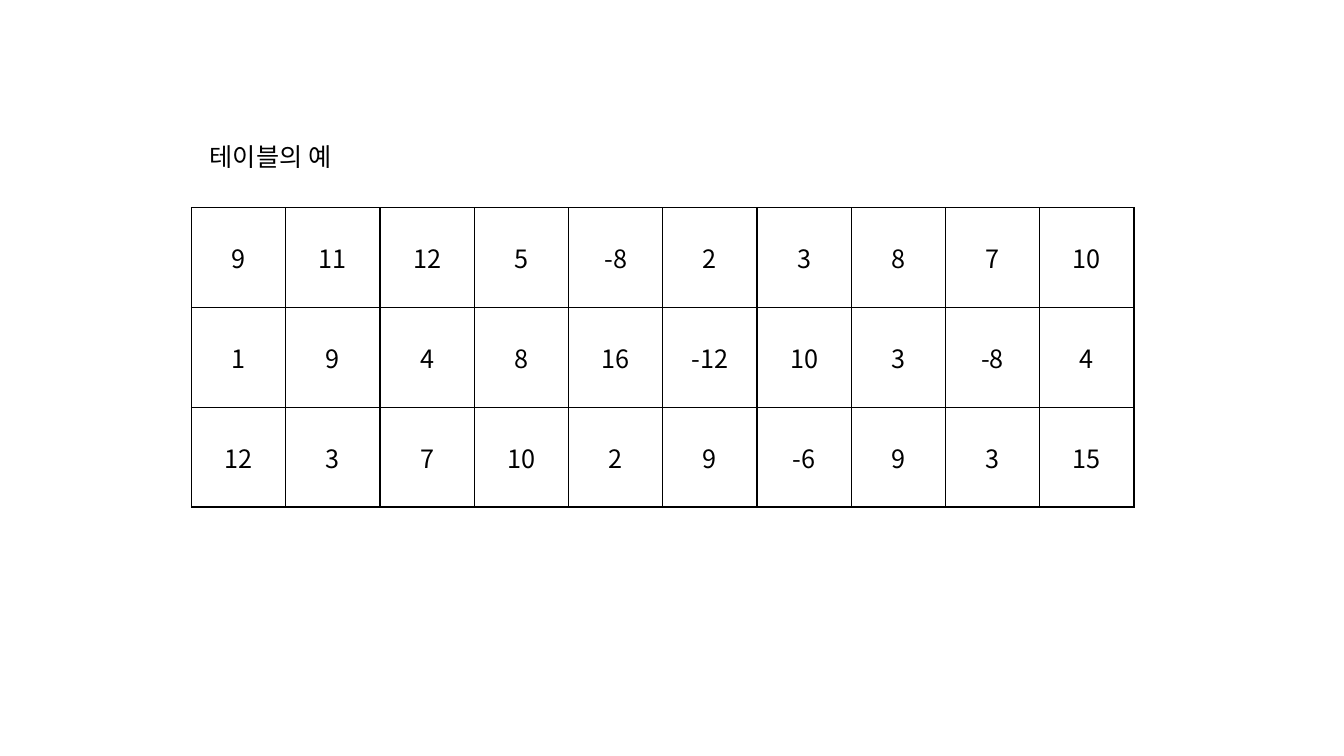
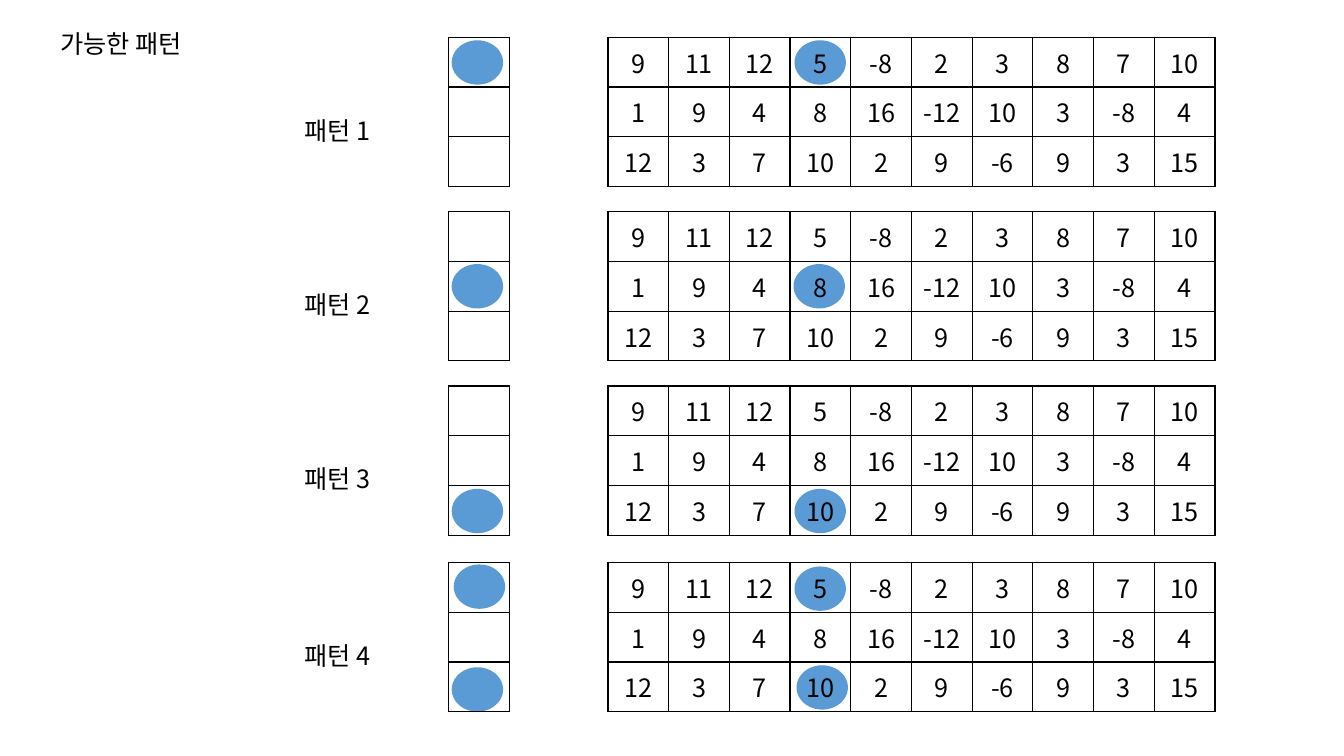
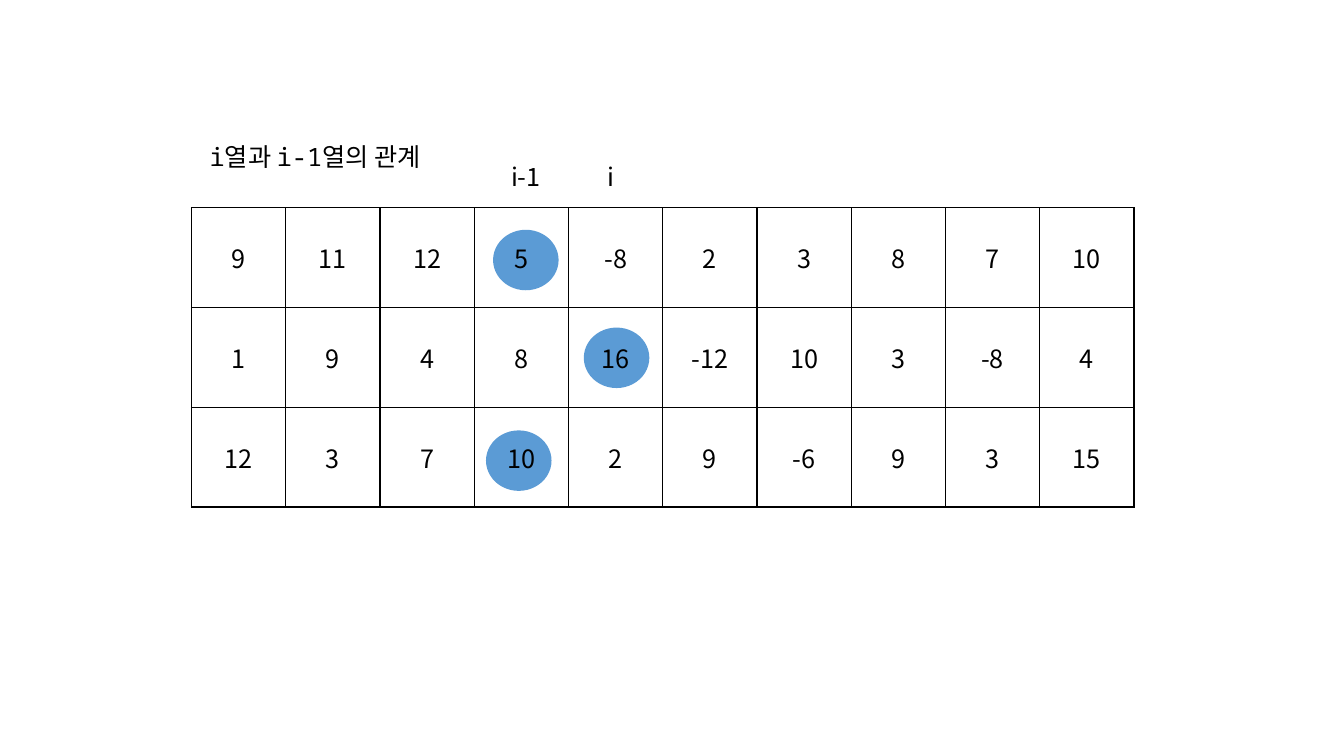
import pptx
import pptx.util
import pptx.dml.color
import pptx.enum.shapes
import pptx.enum.text
import pptx.oxml
import pptx.oxml.ns

Inches, Pt = pptx.util.Inches, pptx.util.Pt
PP_ALIGN, MSO_ANCHOR = pptx.enum.text.PP_ALIGN, pptx.enum.text.MSO_ANCHOR

COLORS = {"ink": "000000", "dot": "5B9BD5"}
SANS, MONO = "Noto Sans CJK KR", "Noto Sans Mono"
NUMBERS = [
    [9, 11, 12, 5, -8, 2, 3, 8, 7, 10],
    [1, 9, 4, 8, 16, -12, 10, 3, -8, 4],
    [12, 3, 7, 10, 2, 9, -6, 9, 3, 15],
]
EMPTY_COLUMN = [[""], [""], [""]]


def rgb(name):
    """Return the named colour."""
    return pptx.dml.color.RGBColor.from_string(COLORS[name])


def write(tf, text, size=18, font=SANS, color="ink", align=PP_ALIGN.LEFT):
    """Put one formatted line of text in a text frame."""
    p = tf.paragraphs[0]
    p.alignment = align
    r = p.add_run()
    r.text = text
    r.font.size = Pt(size)
    r.font.name = font
    r.font.color.rgb = rgb(color)
    ea = pptx.oxml.parse_xml(
        f'<a:ea {pptx.oxml.ns.nsdecls("a")} typeface="{SANS}"/>')
    r.font._element.find(pptx.oxml.ns.qn("a:latin")).addnext(ea)


def add_borders(cell, width=1):
    """Draw a solid line on the four sides of a table cell."""
    tc_pr = cell._tc.get_or_add_tcPr()
    for side in "LRTB":
        tc_pr.append(pptx.oxml.parse_xml(
            f'<a:ln{side} {pptx.oxml.ns.nsdecls("a")} w="{Pt(width)}">'
            f'<a:solidFill><a:srgbClr val="{COLORS["ink"]}"/></a:solidFill>'
            f'</a:ln{side}>'))


class Deck:
    """Hold the presentation, its style and the current slide."""

    def __init__(self):
        """Start an empty wide presentation."""
        self.prs = pptx.Presentation()
        self.prs.slide_width = Inches(13.33)
        self.prs.slide_height = Inches(7.5)
        self.s = None

    def fit_line(self, sp, text, **fmt):
        """Write a single unwrapped line that starts at the top left."""
        tf = sp.text_frame
        tf.word_wrap = False
        tf.auto_size = pptx.enum.text.MSO_AUTO_SIZE.SHAPE_TO_FIT_TEXT
        tf.vertical_anchor = MSO_ANCHOR.TOP
        write(tf, text, **fmt)

    def slide(self, title, x, y, w, **fmt):
        """Add a slide with its title."""
        self.s = self.prs.slides.add_slide(self.prs.slide_layouts[5])
        sp = self.s.shapes.title
        sp.left, sp.top = Inches(x), Inches(y)
        sp.width, sp.height = Inches(w), Inches(0.4)
        self.fit_line(sp, title, **fmt)

    def label(self, text, x, y, w):
        """Add a one-line text box."""
        sp = self.s.shapes.add_textbox(
            Inches(x), Inches(y), Inches(w), Inches(0.4))
        self.fit_line(sp, text)

    def dot(self, x, y, w=0.51, h=0.44):
        """Add a filled ellipse that marks a cell."""
        sp = self.s.shapes.add_shape(
            pptx.enum.shapes.MSO_SHAPE.OVAL,
            Inches(x), Inches(y), Inches(w), Inches(h))
        sp.shadow.inherit = False
        sp.fill.solid()
        sp.fill.fore_color.rgb = rgb("dot")
        sp.line.fill.background()

    def grid(self, rows, x, y, w, h):
        """Add a bordered, see-through table with equal cells."""
        n_rows, n_cols = len(rows), len(rows[0])
        table = self.s.shapes.add_table(
            n_rows, n_cols, Inches(x), Inches(y), Inches(w), Inches(h)).table
        table.first_row = table.horz_banding = False
        for col in table.columns:
            col.width = Inches(w / n_cols)
        for i, row in enumerate(rows):
            table.rows[i].height = Inches(h / n_rows)
            for j, value in enumerate(row):
                cell = table.cell(i, j)
                cell.vertical_anchor = MSO_ANCHOR.MIDDLE
                add_borders(cell)
                cell.fill.background()
                if value != "":
                    write(cell.text_frame, str(value), align=PP_ALIGN.CENTER)

    def large_grid(self):
        """Add the number table at full size."""
        self.grid(NUMBERS, 1.9, 2.06, 9.35, 2.97)


def example_slide(deck):
    """Show the number table."""
    deck.slide("테이블의 예", 1.98, 1.35, 1.55)
    deck.large_grid()


def patterns_slide(deck):
    """Show each possible pattern beside the table it marks."""
    deck.slide("가능한 패턴", 0.5, 0.23, 1.55)
    patterns = [
        (0.37, [(4.48, 0.4), (7.88, 0.4)]),
        (2.1, [(4.48, 2.62), (7.87, 2.62)]),
        (3.83, [(4.48, 4.85), (7.88, 4.85)]),
        (5.58, [(4.5, 5.6), (4.48, 6.62), (7.88, 5.62), (7.9, 6.6)]),
    ]
    for number, (top, dots) in enumerate(patterns, 1):
        for x, y in dots:
            deck.dot(x, y)
        deck.label(f"패턴 {number}", 2.92, top + 0.72, 0.93)
        deck.grid(EMPTY_COLUMN, 4.45, top, 0.6, 1.48)
        deck.grid(NUMBERS, 6.03, top, 6.02, 1.48)


def relation_slide(deck):
    """Show how neighbouring columns relate."""
    deck.slide("i열과 i-1열의 관계", 1.98, 1.35, 2.55, font=MONO)
    for x, y in [(5.79, 3.25), (4.89, 2.28), (4.82, 4.27)]:
        deck.dot(x, y, 0.65, 0.6)
    deck.large_grid()
    deck.label("i-1", 4.97, 1.55, 0.51)
    deck.label("i", 5.93, 1.55, 0.26)


deck = Deck()
example_slide(deck)
patterns_slide(deck)
relation_slide(deck)
deck.prs.save("out.pptx")
